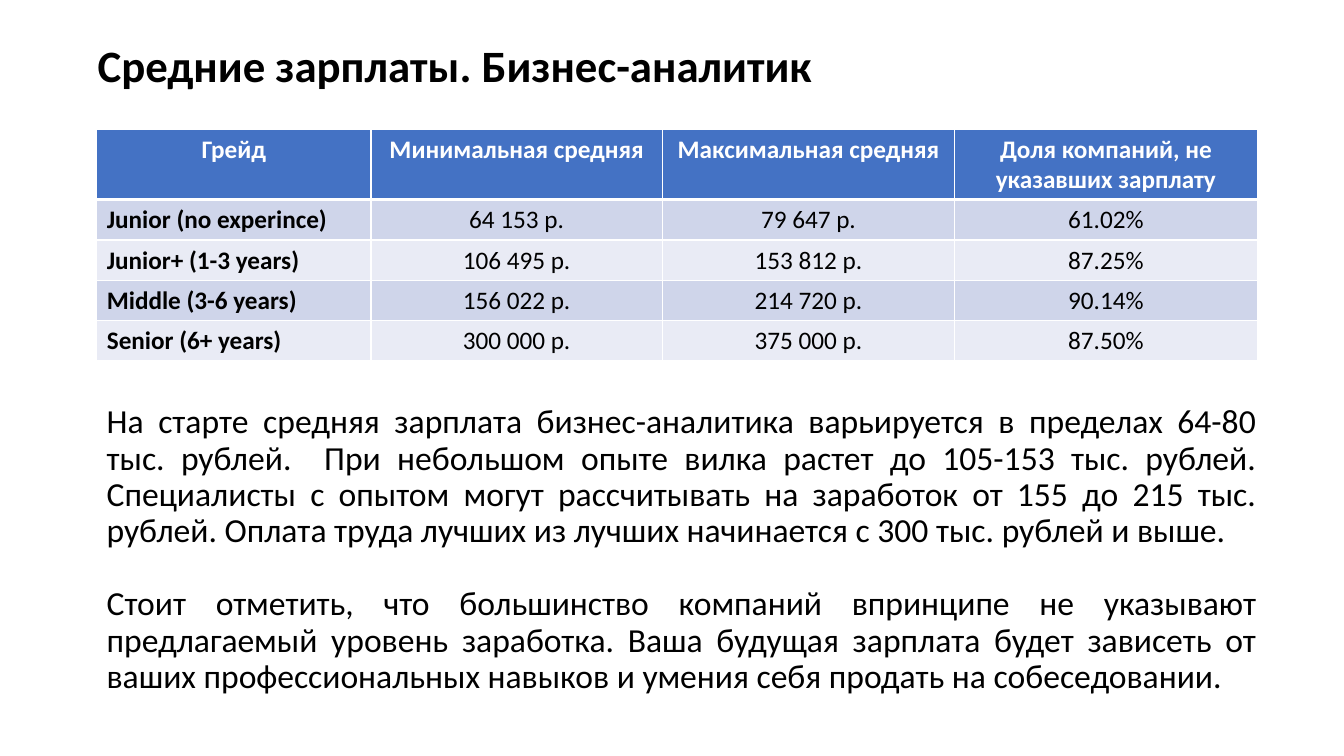
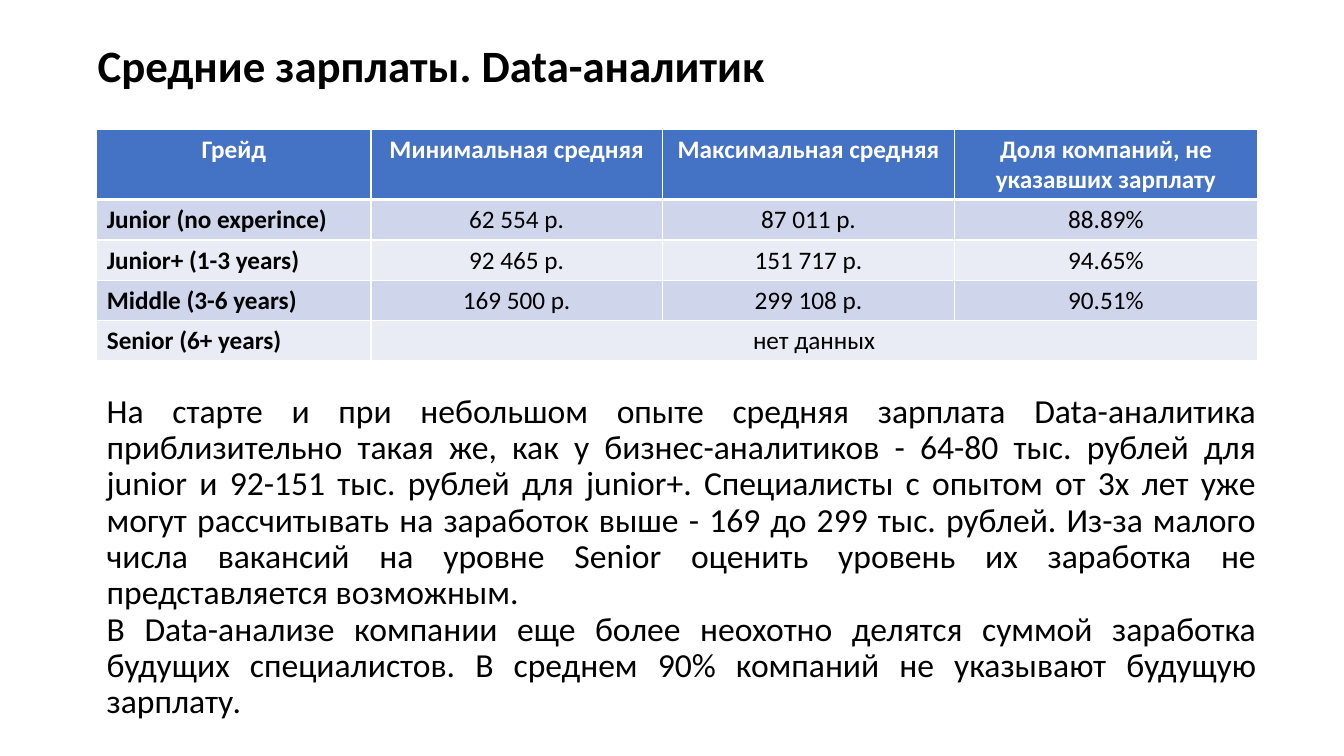
"""Builds two slides on average analyst salaries by grade."""
from lxml import etree
from pptx import Presentation
from pptx.dml.color import RGBColor
from pptx.enum.text import MSO_ANCHOR, PP_ALIGN
from pptx.oxml.ns import qn
from pptx.util import Inches, Pt

LEFT, CENTER, JUSTIFY = PP_ALIGN.LEFT, PP_ALIGN.CENTER, PP_ALIGN.JUSTIFY
TOP, MIDDLE, BOTTOM = MSO_ANCHOR.TOP, MSO_ANCHOR.MIDDLE, MSO_ANCHOR.BOTTOM

FONT = "Calibri"
BLACK, WHITE = "000000", "FFFFFF"
HEADER_FILL = "4472C4"
BAND_FILLS = ["E9EBF5", "CFD5EA"]

HEADER = ["Грейд", "Минимальная средняя", "Максимальная средняя",
          "Доля компаний, не указавших зарплату"]
GRADES = ["Junior (no experince)", "Junior+ (1-3 years)",
          "Middle (3-6 years)", "Senior (6+ years)"]
COLUMN_WIDTHS = [2.72, 2.89, 2.9, 3]
ROW_HEIGHTS = [0.7, 0.4, 0.4, 0.4, 0.4]

SLIDES = [
    {
        "title": "Средние зарплаты. Бизнес-аналитик",
        "salaries": [
            ["64 153 р.", "79 647 р.", "61.02%"],
            ["106 495 р.", "153 812 р.", "87.25%"],
            ["156 022 р.", "214 720 р.", "90.14%"],
            ["300 000 р.", "375 000 р.", "87.50%"],
        ],
        "comments": [
            "На старте средняя зарплата бизнес-аналитика варьируется в пределах "
            "64-80 тыс. рублей.  При небольшом опыте вилка растет до 105-153 тыс. "
            "рублей. Специалисты с опытом могут рассчитывать на заработок от 155 "
            "до 215 тыс. рублей. Оплата труда лучших из лучших начинается с 300 "
            "тыс. рублей и выше.",
            "Стоит отметить, что большинство компаний впринципе не указывают "
            "предлагаемый уровень заработка. Ваша будущая зарплата будет зависеть "
            "от ваших профессиональных навыков и умения себя продать на "
            "собеседовании.",
        ],
        "comment_gap": 26.4,
        "comment_bottom": 6.95,
    },
    {
        "title": "Средние зарплаты. Data-аналитик",
        "salaries": [
            ["62 554 р.", "87 011 р.", "88.89%"],
            ["92 465 р.", "151 717 р.", "94.65%"],
            ["169 500 р.", "299 108 р.", "90.51%"],
            ["нет данных"],
        ],
        "comments": [
            "На старте и при небольшом опыте средняя зарплата Data-аналитика "
            "приблизительно такая же, как у бизнес-аналитиков - 64-80 тыс. рублей "
            "для junior и 92-151 тыс. рублей для junior+. Специалисты с опытом от "
            "3х лет уже могут рассчитывать на заработок выше - 169 до 299 тыс. "
            "рублей. Из-за малого числа вакансий на уровне Senior оценить уровень "
            "их заработка не представляется возможным.",
            "В Data-анализе компании еще более неохотно делятся суммой заработка "
            "будущих специалистов. В среднем 90% компаний не указывают будущую "
            "зарплату.",
        ],
        "comment_gap": 0,
        "comment_bottom": 7.2,
    },
]


def color(value):
    return RGBColor.from_string(value)


def write(frame, texts, size, text_color, bold, align, anchor, spacing=1.0, gap=0):
    frame.word_wrap = True
    frame.vertical_anchor = anchor
    for index, text in enumerate(texts):
        paragraph = frame.paragraphs[0] if index == 0 else frame.add_paragraph()
        paragraph.text = text
        paragraph.alignment = align
        paragraph.line_spacing = spacing
        paragraph.space_before = Pt(gap if index else 0)
        paragraph.font.name = FONT
        paragraph.font.size = Pt(size)
        paragraph.font.bold = bold
        paragraph.font.color.rgb = color(text_color)


prs = Presentation()
prs.slide_width, prs.slide_height = Inches(13.33), Inches(7.5)

for content in SLIDES:
    slide = prs.slides.add_slide(prs.slide_layouts[6])

    title = slide.shapes.add_textbox(Inches(0.87), Inches(0.39), Inches(11.86), Inches(0.8))
    write(title.text_frame, [content["title"]], 32, BLACK, True, LEFT, TOP, 0.9)

    table = slide.shapes.add_table(
        len(ROW_HEIGHTS), len(COLUMN_WIDTHS), Inches(0.96), Inches(1.28),
        Inches(sum(COLUMN_WIDTHS)), Inches(sum(ROW_HEIGHTS))).table
    for column, width in zip(table.columns, COLUMN_WIDTHS):
        column.width = Inches(width)
    for row, height in zip(table.rows, ROW_HEIGHTS):
        row.height = Inches(height)

    rows = [HEADER] + [[grade, *values] for grade, values in zip(GRADES, content["salaries"])]
    for r, values in enumerate(rows):
        is_header = r == 0
        if len(values) < len(HEADER):
            table.cell(r, len(values) - 1).merge(table.cell(r, len(HEADER) - 1))
        for c in range(len(HEADER)):
            cell = table.cell(r, c)
            cell.fill.solid()
            cell.fill.fore_color.rgb = color(HEADER_FILL if is_header else BAND_FILLS[r % 2])
            if c < len(values):
                write(cell.text_frame, [values[c]], 18, WHITE if is_header else BLACK,
                      is_header or c == 0, CENTER if is_header or c else LEFT, TOP)
                cell.vertical_anchor = TOP if is_header else MIDDLE
            border_widths = {"a:lnL": 1, "a:lnR": 1, "a:lnT": 3 if r == 1 else 1,
                             "a:lnB": 3 if is_header else 1}
            cell_properties = cell._tc.get_or_add_tcPr()
            for position, (side, width) in enumerate(border_widths.items()):
                border = etree.Element(qn(side), w=str(Pt(width)))
                border_fill = etree.SubElement(border, qn("a:solidFill"))
                etree.SubElement(border_fill, qn("a:srgbClr"), val=WHITE)
                cell_properties.insert(position, border)

    comment_top = 3.85
    comment = slide.shapes.add_textbox(
        Inches(0.96), Inches(comment_top), Inches(11.6),
        Inches(content["comment_bottom"] - comment_top))
    write(comment.text_frame, content["comments"], 24, BLACK, False, JUSTIFY, BOTTOM,
          0.9, content["comment_gap"])

prs.save("out.pptx")
